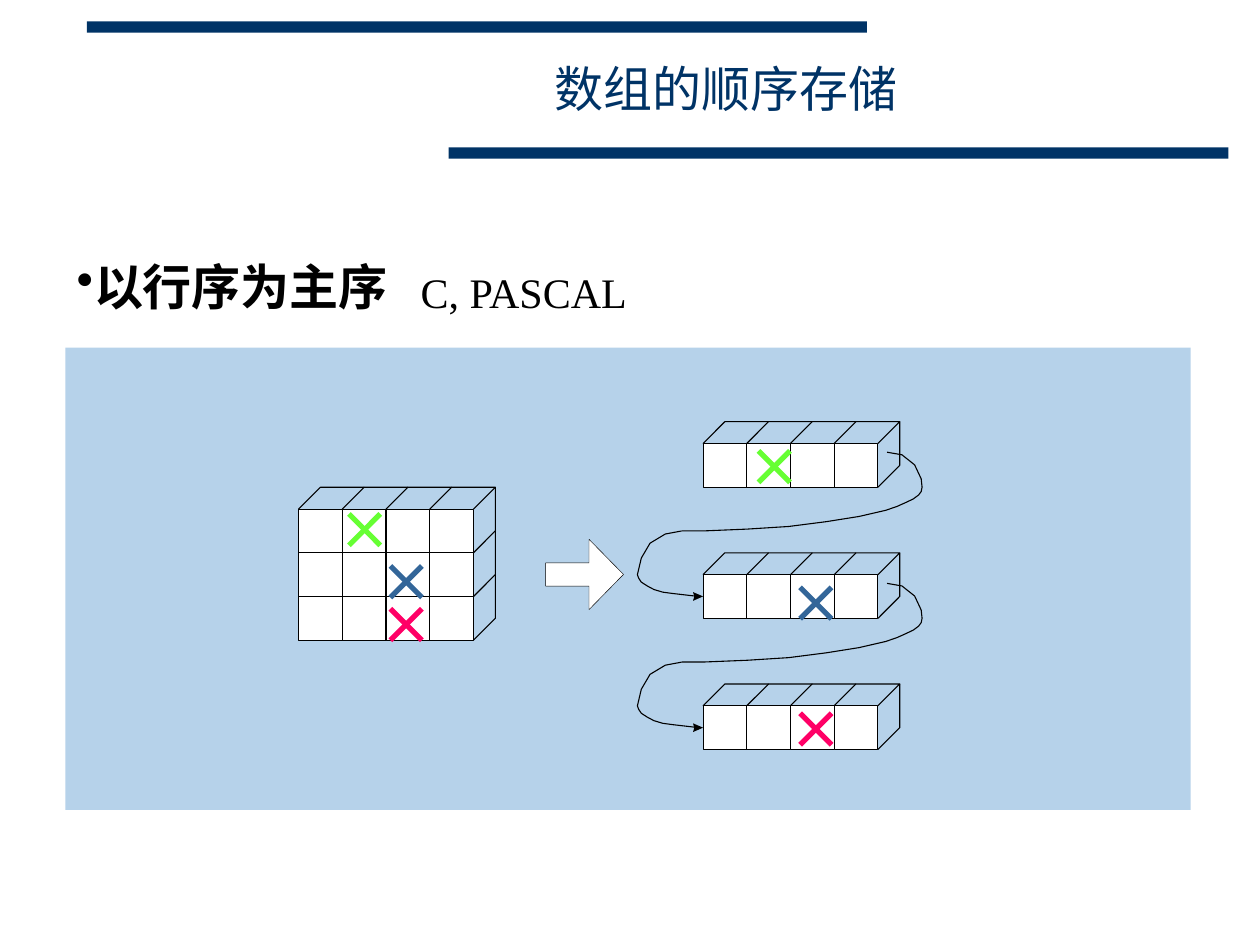
import pptx
import pptx.util
import pptx.dml.color
import pptx.enum.shapes
import pptx.enum.text
import pptx.oxml
import pptx.oxml.ns

COLORS = {"navy": "003366", "panel": "B6D2EA", "white": "FFFFFF", "black": "000000",
          "green": "66FF33", "blue": "336699", "pink": "FF0066"}
FONT = "Times New Roman"
WIDE, HIGH = 10, 7.5
LEFT, TOP, CELL = 2.37, 3.52, 0.347
COLS, DEPTH, SIDE = 4, 0.5, 0.72
STACK = 9.25
STEP = 3
LOOP = [(4.21, 0.2), (4.55, 0.26), (4.84, 0.49), (4.99, 0.81), (5.01, 1), (4.99, 1.1),
        (4.93, 1.18), (4.81, 1.27), (4.64, 1.35), (4.44, 1.44), (4.18, 1.53),
        (3.57, 1.67), (2.82, 1.79), (1.96, 1.9), (1.01, 1.96), (0.03, 2), (-0.49, 2)]
HOOK = [(-0.49, 2), (-0.86, 2.07), (-1.21, 2.28), (-1.41, 2.62), (-1.5, 3),
        (-1.47, 3.08), (-1.41, 3.17), (-1.27, 3.26), (-1.12, 3.34), (-0.92, 3.4),
        (-0.69, 3.43), (-0.17, 3.49)]
HEAD = [(0, 3.5), (-0.23, 3.6), (-0.2, 3.5), (-0.23, 3.4)]


def inch(size):
    return pptx.util.Inches(size)


def share(x, y, w, h):
    return [inch(v) for v in (x * WIDE, y * HIGH, w * WIDE, h * HIGH)]


def spot(col, row):
    return inch(LEFT + col * CELL), inch(TOP + row * CELL)


def span(col, row, w, h):
    return [*spot(col, row), inch(w * CELL), inch(h * CELL)]


def tint(name):
    return pptx.dml.color.RGBColor.from_string(COLORS[name])


def paint(shape, fill=None, line=None, width=0.63):
    shape.shadow.inherit = False
    if fill:
        shape.fill.solid()
        shape.fill.fore_color.rgb = tint(fill)
    else:
        shape.fill.background()
    if line:
        shape.line.color.rgb = tint(line)
        shape.line.width = pptx.util.Pt(width)
    else:
        shape.line.fill.background()


def box(shapes, frame, fill, line=None, width=0.63, kind="RECTANGLE"):
    form = getattr(pptx.enum.shapes.MSO_SHAPE, kind)
    shape = shapes.add_shape(form, *frame)
    paint(shape, fill, line, width)
    return shape


def trace(shapes, col, row, dots, fill=None, line="black"):
    first, *rest = [spot(col + x, row + y) for x, y in dots]
    pen = shapes.build_freeform(*first)
    pen.add_line_segments(rest, close=bool(fill))
    paint(pen.convert_to_shape(), fill, line)


def stroke(shapes, start, end, color, width):
    form = pptx.enum.shapes.MSO_CONNECTOR.STRAIGHT
    line = shapes.add_connector(form, *spot(*start), *spot(*end))
    line.line.color.rgb = tint(color)
    line.line.width = pptx.util.Pt(width)
    props = line._element.spPr
    props.append(pptx.oxml.parse_xml(
        "<a:effectLst %s/>" % pptx.oxml.ns.nsdecls("a")))


def block(slide, col, row, rows):
    shapes = slide.shapes.add_group_shape().shapes
    for i in range(COLS):
        lid = [(i, 0), (i + DEPTH, -DEPTH), (i + 1 + DEPTH, -DEPTH)]
        if i == COLS - 1:
            lid.append((COLS, 0))
        trace(shapes, col, row, lid)
    for j in range(rows):
        edge = COLS + DEPTH
        trace(shapes, col, row,
              [(COLS, j + 1), (edge, j + 1 - DEPTH), (edge, j - DEPTH)])
        for i in range(COLS):
            box(shapes, span(col + i, row + j, 1, 1), "white", "black")


def cross(slide, col, row, color):
    shapes = slide.shapes.add_group_shape().shapes
    stroke(shapes, (col + SIDE, row), (col, row + SIDE), color, 3)
    stroke(shapes, (col, row), (col + SIDE, row + SIDE), color, 3)


def link(slide, row):
    for dots in (LOOP, HOOK):
        trace(slide.shapes, STACK, row, dots)
    trace(slide.shapes, STACK, row, HEAD, "black", None)


def label(slide, frame, text, size, color="black", bold=False, wrap=False):
    area = slide.shapes.add_textbox(*frame).text_frame
    area.word_wrap = wrap
    area.text = text
    para = area.paragraphs[0]
    font = para.runs[0].font
    font.name, font.size, font.bold = FONT, pptx.util.Pt(size), bold
    font.color.rgb = tint(color)
    return area, para


def main():
    deck = pptx.Presentation()
    deck.slide_width, deck.slide_height = inch(WIDE), inch(HIGH)
    slide = deck.slides.add_slide(deck.slide_layouts[6])
    shapes = slide.shapes

    for x, y in ((0.07, 0.02), (0.36, 0.16)):
        box(shapes, share(x, y, 0.62, 0.01), "navy").left = inch(x * WIDE - 0.02)
    shapes[0].top, shapes[1].top = inch(0.17), inch(1.17)
    shapes[0].left, shapes[1].left = inch(0.69), inch(3.56)
    for bar in shapes:
        bar.width, bar.height = inch(6.19), inch(0.09)

    para = label(slide, share(0.051, 0.265, 0.268, 0.076), "以行序为主序", 28, bold=True)[1]
    para._p.get_or_add_pPr().append(pptx.oxml.parse_xml(
        '<a:buChar %s char="•"/>' % pptx.oxml.ns.nsdecls("a")))
    label(slide, share(0.324, 0.275, 0.187, 0.067), "C, PASCAL", 24)

    box(shapes, share(0.052, 0.368, 0.893, 0.489), "panel")
    block(slide, 0, 1.5, 3)
    for i in range(3):
        block(slide, STACK, i * STEP, 1)

    arrow = box(shapes, span(5.65, 2.19, 1.78, 1.61), "white", "black", 0.25, "RIGHT_ARROW")
    arrow.adjustments[0], arrow.adjustments[1] = 0.33, 0.49
    for i in range(2):
        link(slide, i * STEP)

    marks = (("pink", 2.1, 3.78, 6.17), ("green", 1.15, 1.61, 0.17),
             ("blue", 2.1, 2.8, 3.29))
    for color, col, near, far in marks:
        cross(slide, col, near, color)
        cross(slide, col + 9.37, far, color)

    area, para = label(slide, share(0.285, 0.055, 0.582, 0.076), "数组的顺序存储", 28,
                       "navy", wrap=True)
    area.vertical_anchor = pptx.enum.text.MSO_ANCHOR.MIDDLE
    para.alignment = pptx.enum.text.PP_ALIGN.CENTER
    deck.save("out.pptx")


main()
